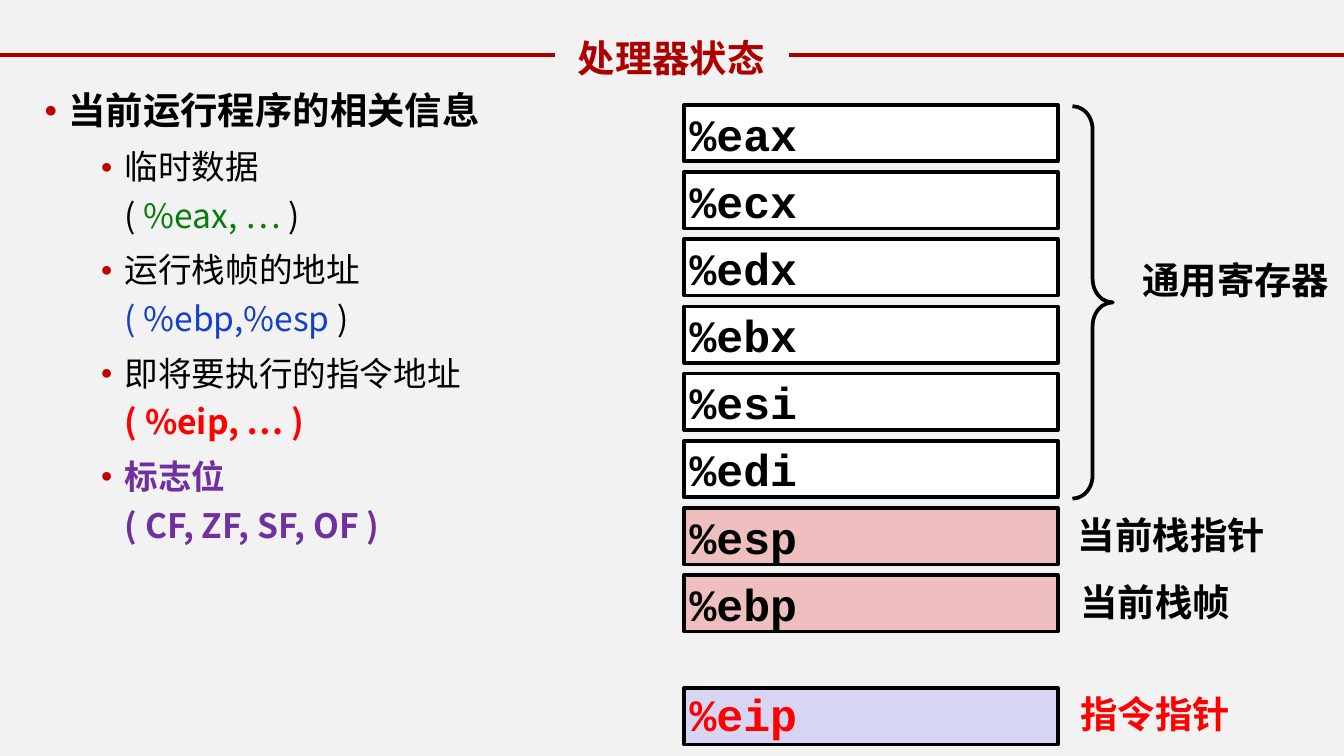
from lxml import etree
from pptx import Presentation
from pptx.dml.color import RGBColor
from pptx.enum import shapes, text
from pptx.oxml import ns
from pptx.util import Inches, Pt

BACKGROUND = RGBColor(0xF2, 0xF2, 0xF2)
CRIMSON = RGBColor(0xAC, 0x00, 0x00)
BLACK = RGBColor(0x00, 0x00, 0x00)
WHITE = RGBColor(0xFF, 0xFF, 0xFF)
RED = RGBColor(0xFF, 0x00, 0x00)
GREEN = RGBColor(0x06, 0x7C, 0x0C)
BLUE = RGBColor(0x13, 0x3F, 0xCB)
PURPLE = RGBColor(0x70, 0x30, 0xA0)
PINK = RGBColor(0xEF, 0xBF, 0xBF)
LAVENDER = RGBColor(0xD6, 0xD6, 0xF4)
BULLET = RGBColor(0xC0, 0x00, 0x00)

HAN_FONT, LABEL_FONT, CODE_FONT = "Noto Sans CJK SC", "Calibri", "Courier New"
LINE_HEIGHT = 1.21

REGISTERS = ["%eax", "%ecx", "%edx", "%ebx", "%esi", "%edi", "%esp", "%ebp"]
GENERAL_COUNT = 6

# Each topic: heading, then the pieces of its second line, as (text, colour, bold)
TOPICS = [
    (("临时数据", BLACK, False),
     [("( ", BLACK, False), ("%eax, … ", GREEN, False), (")", BLACK, False)]),
    (("运行栈帧的地址", BLACK, False),
     [("( %ebp,%esp ", BLUE, False), (")", BLACK, False)]),
    (("即将要执行的指令地址", BLACK, False), [("( %eip, … )", RED, True)]),
    (("标志位", PURPLE, True), [("( CF, ZF, SF, OF )", PURPLE, True)]),
]


def style_run(run, font, size, color, bold=True):
    """Apply one typeface to both Latin and East Asian characters."""
    run.font.name = font
    run.font.size = Pt(size)
    run.font.bold = bold
    run.font.color.rgb = color
    east_asian = etree.Element(ns.qn("a:ea"), typeface=font)
    run.font._element.find(ns.qn("a:latin")).addnext(east_asian)


def add_bullet(paragraph, level):
    paragraph.level = level
    props = paragraph._p.get_or_add_pPr()
    props.set("marL", str(Inches(0.6 if level else 0.18)))
    props.set("indent", str(Inches(-0.18)))
    color = etree.SubElement(props, ns.qn("a:buClr"))
    etree.SubElement(color, ns.qn("a:srgbClr"), val=str(BULLET))
    etree.SubElement(props, ns.qn("a:buSzPct"), val="60000")
    etree.SubElement(props, ns.qn("a:buFont"), typeface="Arial")
    etree.SubElement(props, ns.qn("a:buChar"), char="●")


def set_insets(frame, inset):
    frame.margin_left = frame.margin_right = Inches(inset)
    frame.margin_top = frame.margin_bottom = Inches(inset)


def add_title(slide, left, top, width, height):
    """Place the title with a rule running to each slide edge."""
    title = slide.shapes.title
    title.left, title.top = Inches(left), Inches(top)
    title.width, title.height = Inches(width), Inches(height)
    frame = title.text_frame
    frame.text = "处理器状态"
    frame.auto_size = text.MSO_AUTO_SIZE.NONE
    frame.vertical_anchor = text.MSO_ANCHOR.TOP
    heading = frame.paragraphs[0]
    heading.alignment = text.PP_ALIGN.CENTER
    heading.line_spacing = Pt(20 * LINE_HEIGHT)
    style_run(heading.runs[0], HAN_FONT, 20, CRIMSON)

    rule_y = Inches(top + 0.2)
    for start, end in [(0, left), (left + width + 0.01, 10)]:
        rule = slide.shapes.add_connector(
            shapes.MSO_CONNECTOR.STRAIGHT, Inches(start), rule_y, Inches(end), rule_y)
        rule.line.color.rgb = CRIMSON
        rule.line.width = Pt(2)
        etree.SubElement(rule._element.spPr, ns.qn("a:effectLst"))


def add_topics(slide, left, top, width, height):
    box = slide.shapes.add_textbox(
        Inches(left), Inches(top), Inches(width), Inches(height))
    frame = box.text_frame
    frame.word_wrap = True
    heading = frame.paragraphs[0]
    heading.text = "当前运行程序的相关信息"
    heading.line_spacing = Pt(20 * LINE_HEIGHT * 1.2)
    add_bullet(heading, 0)
    style_run(heading.runs[0], HAN_FONT, 20, BLACK)

    for topic, details in TOPICS:
        paragraph = frame.add_paragraph()
        paragraph.line_spacing = Pt(18 * LINE_HEIGHT * 1.2)
        paragraph.space_before = Pt(3)
        add_bullet(paragraph, 1)
        for index, (words, color, bold) in enumerate([topic, *details]):
            if index == 1:
                paragraph.add_line_break()
            run = paragraph.add_run()
            run.text = words
            style_run(run, HAN_FONT, 18, color, bold)


def add_register(slide, name, left, top, width, fill, color=BLACK):
    register = slide.shapes.add_shape(
        shapes.MSO_SHAPE.RECTANGLE,
        Inches(left), Inches(top), Inches(width), Inches(0.42))
    register.shadow.inherit = False
    register.fill.solid()
    register.fill.fore_color.rgb = fill
    register.line.color.rgb = BLACK
    register.line.width = Pt(2)
    frame = register.text_frame
    set_insets(frame, 0.04)
    frame.vertical_anchor = text.MSO_ANCHOR.MIDDLE
    frame.text = name
    frame.paragraphs[0].alignment = text.PP_ALIGN.LEFT
    style_run(frame.paragraphs[0].runs[0], CODE_FONT, 24, color)
    return register


def add_label(slide, words, left, top, color=BLACK):
    width = len(words) * 0.28 + 0.09
    label = slide.shapes.add_textbox(
        Inches(left), Inches(top), Inches(width), Inches(0.42))
    frame = label.text_frame
    set_insets(frame, 0.04)
    frame.word_wrap = False
    frame.auto_size = text.MSO_AUTO_SIZE.SHAPE_TO_FIT_TEXT
    frame.text = words
    style_run(frame.paragraphs[0].runs[0], LABEL_FONT, 20, color)


def add_registers(slide, left, top, width):
    """Stack the registers, with their brace and labels on the right."""
    pitch = 0.5
    for row, name in enumerate(REGISTERS):
        fill = WHITE if row < GENERAL_COUNT else PINK
        add_register(slide, name, left, top + row * pitch, width, fill)
    pointer = add_register(slide, "%eip", left, top + 4.34, width, LAVENDER, RED)
    pointer.text_frame.paragraphs[0].line_spacing = 0.95

    right = left + width
    brace = slide.shapes.add_shape(
        shapes.MSO_SHAPE.RIGHT_BRACE,
        Inches(right + 0.11), Inches(top + 0.01), Inches(0.3), Inches(2.92))
    brace.shadow.inherit = False
    brace.adjustments[0] = 0.58
    brace.fill.background()
    brace.line.color.rgb = BLACK
    brace.line.width = Pt(2)

    add_label(slide, "通用寄存器", right + 0.59, top + 1.09)
    add_label(slide, "当前栈指针", right + 0.11, top + 2.99)
    add_label(slide, "当前栈帧", right + 0.13, top + 3.49)
    add_label(slide, "指令指针", right + 0.13, top + 4.32, RED)


def main():
    deck = Presentation()
    deck.slide_width = Inches(10)
    deck.slide_height = deck.slide_width * 9 // 16
    slide = deck.slides.add_slide(deck.slide_layouts.get_by_name("Title Only"))
    slide.background.fill.solid()
    slide.background.fill.fore_color.rgb = BACKGROUND
    add_title(slide, 4.13, 0.21, 1.73, 0.44)
    add_topics(slide, 0.23, 0.53, 3.65, 5.09)
    add_registers(slide, 5.09, 0.78, 2.78)
    deck.save("out.pptx")


if __name__ == "__main__":
    main()
